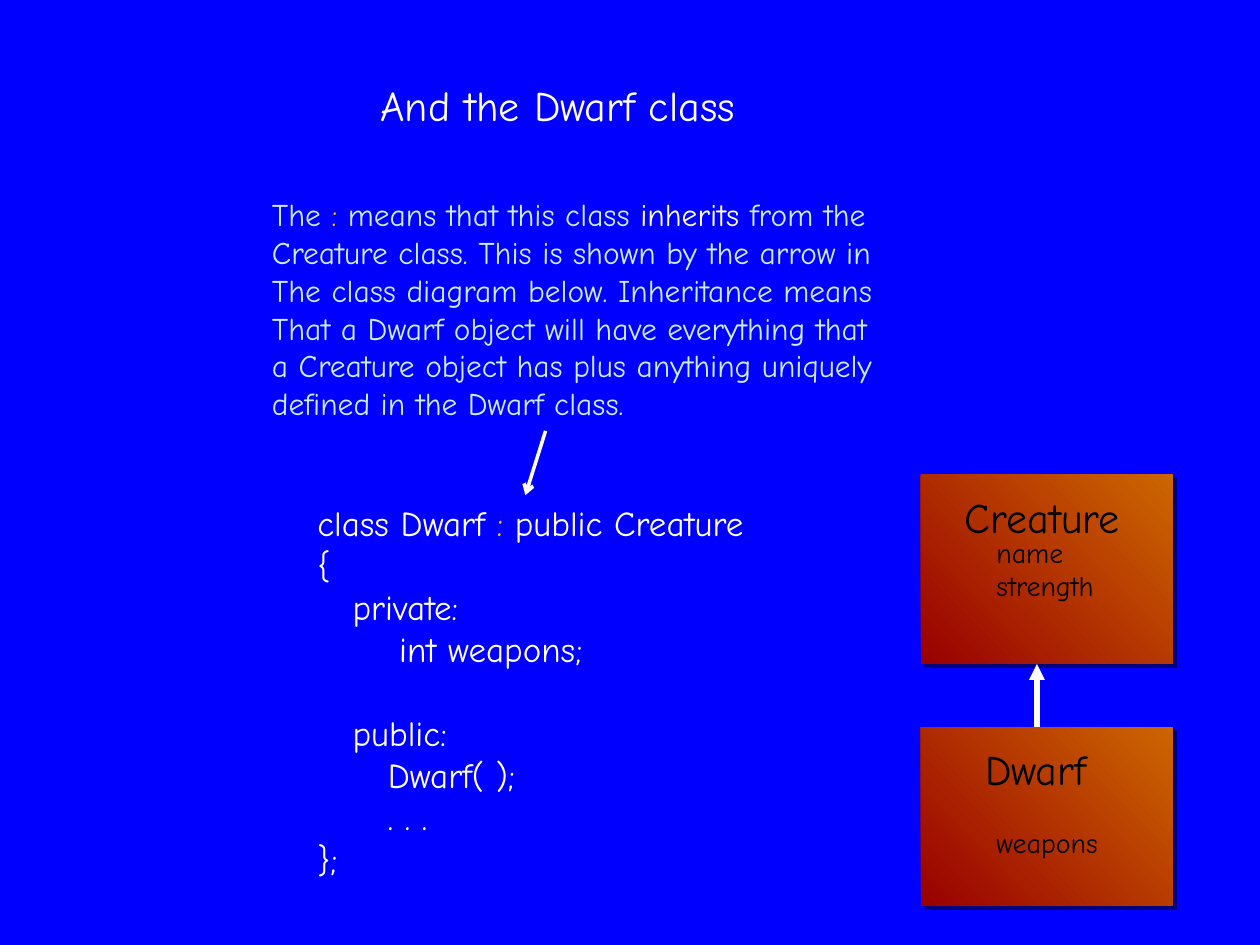
from dataclasses import dataclass

from lxml import etree
from pptx import Presentation
from pptx import util as u
from pptx.dml.color import RGBColor
from pptx.enum import shapes, text
from pptx.oxml import ns


@dataclass(frozen=True)
class Theme:
    font: str = "Comic Neue"
    background: str = "0000FF"
    light: str = "FFFFFF"
    pale: str = "CCECFF"
    accent: str = "FFC000"
    dark: str = "000000"
    gradient: tuple = ("990000", "CC6600")
    heading: int = 24
    code: int = 20
    body: int = 18
    member: int = 16


@dataclass
class Line:
    """One paragraph: (text, colour) runs, where None means the block's colour."""
    runs: list
    indent: float = 0
    space_before: float = 0


def plain(words, indent=0, space_before=0):
    return Line([(words, None)], indent, space_before)


def add_xml(parent, tag, **attributes):
    return etree.SubElement(parent, ns.qn(tag), attributes)


class SlideBuilder:
    def __init__(self, slide, theme):
        self.slide = slide
        self.theme = theme
        fill = slide.background.fill
        fill.solid()
        fill.fore_color.rgb = RGBColor.from_string(theme.background)

    def set_text(self, frame, lines, size, color):
        frame.word_wrap = True
        frame.auto_size = text.MSO_AUTO_SIZE.NONE
        frame.vertical_anchor = text.MSO_ANCHOR.TOP
        for index, line in enumerate(lines):
            paragraph = frame.paragraphs[0] if index == 0 else frame.add_paragraph()
            paragraph.alignment = text.PP_ALIGN.LEFT
            paragraph.font.name = self.theme.font
            paragraph.font.size = u.Pt(size)
            paragraph.font.color.rgb = RGBColor.from_string(color)
            if line.space_before:
                paragraph.space_before = u.Pt(line.space_before)
            if line.indent:
                properties = paragraph._p.get_or_add_pPr()
                properties.set("marL", str(u.Inches(line.indent)))
                properties.set("indent", "0")
            for words, run_color in line.runs:
                run = paragraph.add_run()
                run.text = words
                if run_color:
                    run.font.color.rgb = RGBColor.from_string(run_color)

    def title(self, words, left, top, width, height):
        shape = self.slide.shapes.title
        shape.left, shape.top = u.Inches(left), u.Inches(top)
        shape.width, shape.height = u.Inches(width), u.Inches(height)
        self.set_text(shape.text_frame, [plain(words)], self.theme.heading, self.theme.light)

    def text_box(self, lines, left, top, width, height, size, color):
        shape = self.slide.shapes.add_textbox(*map(u.Inches, (left, top, width, height)))
        self.set_text(shape.text_frame, lines, size, color)

    def gradient_box(self, left, top, width, height):
        shape = self.slide.shapes.add_shape(
            shapes.MSO_SHAPE.RECTANGLE, *map(u.Inches, (left, top, width, height)))
        shape.fill.gradient()
        shape.fill.gradient_angle = 45
        for stop, color in zip(shape.fill.gradient_stops, self.theme.gradient):
            stop.color.rgb = RGBColor.from_string(color)
        shape.line.fill.background()
        shape.shadow.inherit = False
        effects = shape._element.spPr.find(ns.qn("a:effectLst"))
        shadow = add_xml(effects, "a:outerShdw", dist=str(u.Pt(2.8)), dir="2700000",
                         algn="ctr", rotWithShape="0")
        color = add_xml(shadow, "a:srgbClr", val=self.theme.dark)
        add_xml(color, "a:alpha", val="50000")

    def arrow(self, start, end, width, head):
        connector = self.slide.shapes.add_connector(
            shapes.MSO_CONNECTOR.STRAIGHT, *map(u.Inches, (*start, *end)))
        connector.line.color.rgb = RGBColor.from_string(self.theme.light)
        connector.line.width = u.Pt(width)
        properties = connector._element.spPr
        add_xml(properties.find(ns.qn("a:ln")), "a:tailEnd", type=head)
        add_xml(properties, "a:effectLst")


def main():
    theme = Theme()
    presentation = Presentation()
    presentation.slide_width, presentation.slide_height = u.Inches(10), u.Inches(7.5)
    layout = presentation.slide_layouts.get_by_name("Title Only")
    builder = SlideBuilder(presentation.slides.add_slide(layout), theme)

    builder.title("And the Dwarf class", 2.92, 0.58, 3.4, 0.5)

    explanation = [
        Line([("The ", None), (":", theme.accent), (" means that this class ", None),
              ("inherits", theme.light), (" from the", None)]),
        plain("Creature class. This is shown by the arrow in"),
        plain("The class diagram below. Inheritance means"),
        plain("That a Dwarf object will have everything that"),
        plain("a Creature object has plus anything uniquely"),
        plain("defined in the Dwarf class."),
    ]
    builder.text_box(explanation, 2.06, 1.5, 5.69, 1.92, theme.body, theme.pale)

    code = [
        Line([("class Dwarf ", None), (":", theme.accent), (" public Creature", None)]),
        plain("{"),
        plain("private:", indent=0.28),
        plain("int weapons;", indent=0.65),
        plain("public:", indent=0.28, space_before=24),
        plain("Dwarf( );", indent=0.56),
        plain(". . .", indent=0.56),
        plain("};"),
    ]
    builder.text_box(code, 2.42, 3.93, 4.16, 3.13, theme.code, theme.light)
    builder.arrow((4.33, 3.42), (4.17, 3.93), 2, "arrow")

    # name, name left, box top, box height, members, members top
    classes = [
        ("Creature", 7.56, 3.77, 1.5, ["name", "strength"], 4.2),
        ("Dwarf", 7.72, 5.77, 1.42, ["weapons"], 6.5),
    ]
    for name, name_left, top, height, members, members_top in classes:
        builder.gradient_box(7.31, top, 2, height)
        builder.text_box([plain(name)], name_left, top + 0.08, 1.59, 0.5,
                         theme.heading, theme.dark)
        builder.text_box([plain(member) for member in members], 7.81, members_top,
                         1.12, 0.1 + 0.27 * len(members), theme.member, theme.dark)
    builder.arrow((8.23, 5.77), (8.23, 5.27), 3, "triangle")

    presentation.save("out.pptx")


if __name__ == "__main__":
    main()
